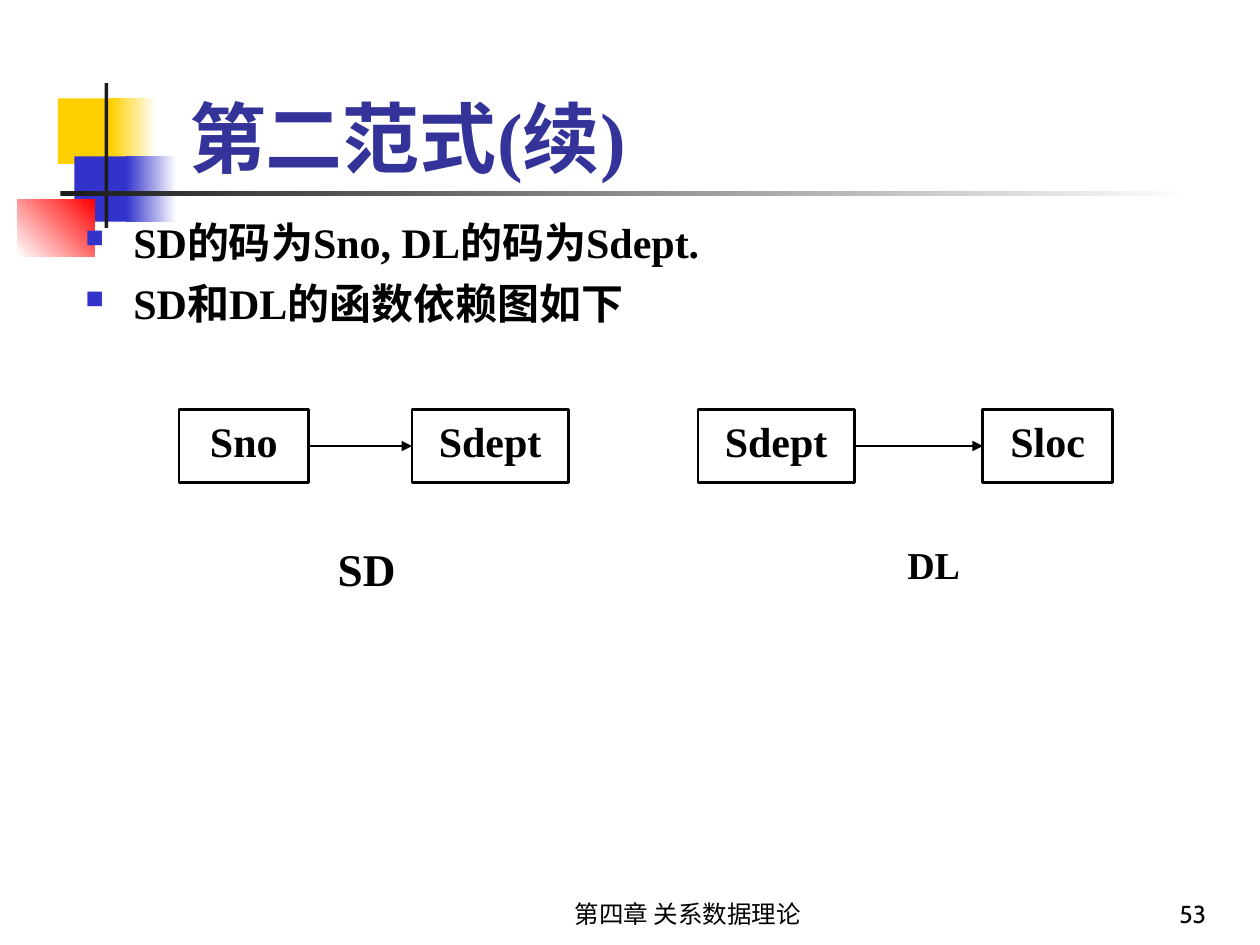
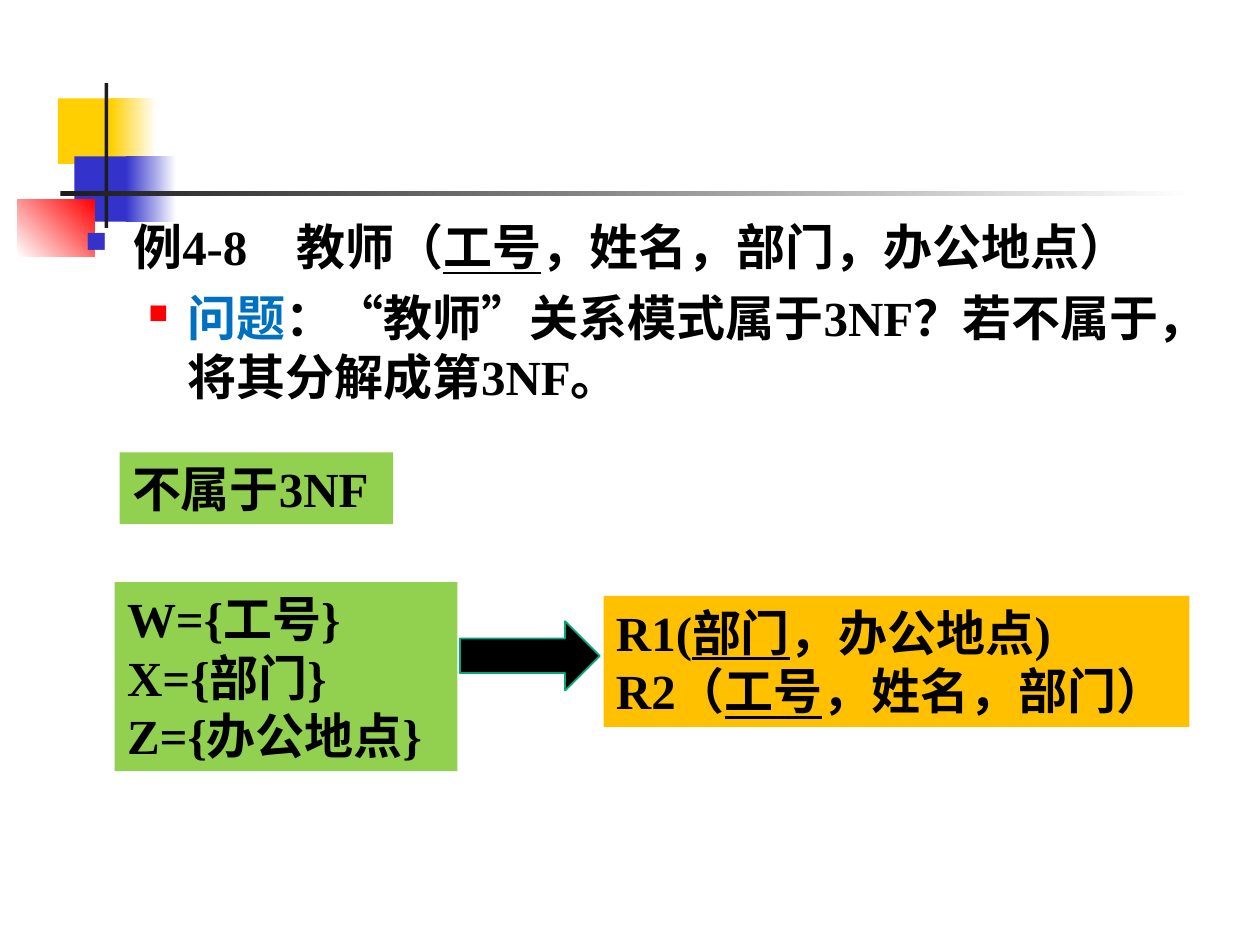
"""Build two slides on normal forms: dependency diagrams and a 3NF example."""
from typing import Any, NamedTuple

import lxml.etree
import pptx
import pptx.dml.color
import pptx.enum.shapes
import pptx.enum.text
import pptx.oxml.ns
import pptx.util

Inches = pptx.util.Inches
Pt = pptx.util.Pt
SHAPE = pptx.enum.shapes.MSO_SHAPE
ALIGN = pptx.enum.text.PP_ALIGN
LOW = pptx.enum.text.MSO_ANCHOR.BOTTOM
GROW = pptx.enum.text.MSO_AUTO_SIZE.SHAPE_TO_FIT_TEXT

HUES = {
    "black": "000000", "white": "FFFFFF", "ink": "1C1C1C", "gold": "FFCF01",
    "blue": "3333CC", "red": "FF0000", "title": "333399", "sky": "0070C0",
    "green": "92D050", "amber": "FFC000", "teal": "00A77A",
}
SERIF = {"name": "Times New Roman", "bold": True}
SANS = {"name": "Cabin", "bold": False, "size": Pt(14)}
HEAD = SERIF | {"size": Pt(44)}
MID = SERIF | {"size": Pt(24)}
BIG = SERIF | {"size": Pt(28)}
FIT = {"word_wrap": False, "auto_size": GROW, "margin_right": Inches(0.04)}


class Box(NamedTuple):
    left: float
    top: float
    width: float
    height: float


class Block(NamedTuple):
    box: Box
    hue: str
    fade: str = ""
    angle: int = 0


class Bit(NamedTuple):
    text: str
    hue: str = "black"
    under: bool = False


class Mark(NamedTuple):
    hue: str
    size: int
    left: float
    hang: float


class Para(NamedTuple):
    bits: list[Bit]
    mark: Mark | None = None
    before: int = 0


class Pair(NamedTuple):
    start: Box
    end: Box
    names: tuple[str, str]
    label: Box
    title: str
    size: float


class Card(NamedTuple):
    box: Box
    hue: str
    paras: list[Para]


BAND = [
    Block(Box(0.46, 0.78, 0.48, 0.52), "gold"),
    Block(Box(0.88, 0.78, 0.36, 0.52), "gold", "white"),
    Block(Box(0.59, 1.24, 0.46, 0.52), "blue"),
    Block(Box(1, 1.24, 0.4, 0.52), "blue", "white"),
    Block(Box(0.14, 1.58, 0.61, 0.46), "white", "red", 45),
    Block(Box(0.83, 0.66, 0.03, 1.15), "ink"),
    Block(Box(0.48, 1.52, 9, 0.04), "ink", "white"),
]
FIRST = Mark("blue", 60, 0.38, 0.38)
NEXT = Mark("red", 55, 0.81, 0.31)
ROW, TALL, SHORT, LONG = 3.25, 0.58, 1.03, 1.24
PAIRS = [
    Pair(Box(1.42, ROW, SHORT, TALL), Box(3.27, ROW, LONG, TALL),
         ("Sno", "Sdept"), Box(2.5, 4.25, 0.82, 0.56), "SD", 25.9),
    Pair(Box(5.54, ROW, LONG, TALL), Box(7.8, ROW, SHORT, TALL),
         ("Sdept", "Sloc"), Box(7, 4.25, 0.82, 0.48), "DL", 21.7),
]
CARDS = [
    Card(Box(0.95, 3.59, 2.17, 0.57), "green", [Para([Bit("不属于3NF")])]),
    Card(Box(0.91, 4.62, 2.72, 1.5), "green",
         [Para([Bit(text)]) for text in ("W={工号}", "X={部门}", "Z={办公地点}")]),
    Card(Box(4.79, 4.73, 4.65, 1.04), "amber", [
        Para([Bit("R1("), Bit("部门", under=True), Bit("，办公地点)")]),
        Para([Bit("R2（"), Bit("工号", under=True), Bit("，姓名，部门）")]),
    ]),
]


def tint(name: str) -> pptx.dml.color.RGBColor:
    return pptx.dml.color.RGBColor.from_string(HUES[name])


def place(box: Box) -> list[int]:
    return [Inches(size) for size in box]


def apply(thing: Any, form: dict[str, Any]) -> None:
    for key, value in form.items():
        setattr(thing, key, value)


def add(node: Any, tag: str, **attrs: str) -> Any:
    return lxml.etree.SubElement(node, pptx.oxml.ns.qn(tag), attrs)


def bullet(para: Any, mark: Mark) -> None:
    props = para._p.get_or_add_pPr()
    props.set("marL", str(Inches(mark.left)))
    props.set("indent", str(-Inches(mark.hang)))
    add(add(props, "a:buClr"), "a:srgbClr", val=HUES[mark.hue])
    add(props, "a:buSzPct", val=str(mark.size * 1000))
    add(props, "a:buChar", char="■")


def write(frame: Any, paras: list[Para], font: dict[str, Any],
          align: Any = ALIGN.LEFT, **form: Any) -> None:
    apply(frame, {"word_wrap": True} | form)
    for spot, item in enumerate(paras):
        para = frame.add_paragraph() if spot else frame.paragraphs[0]
        if item.mark:
            bullet(para, item.mark)
        apply(para, {"alignment": align, "space_before": Pt(item.before)})
        for bit in item.bits:
            run = para.add_run()
            run.text = bit.text
            apply(run.font, font)
            run.font.color.rgb = tint(bit.hue)
            if bit.under:
                run.font.underline = True


def note(slide: Any, box: Box, paras: list[Para], font: dict[str, Any],
         align: Any = ALIGN.LEFT, **form: Any) -> Any:
    shape = slide.shapes.add_textbox(*place(box))
    write(shape.text_frame, paras, font, align, **form)
    return shape


def draw(slide: Any, block: Block, kind: Any = SHAPE.RECTANGLE) -> Any:
    shape = slide.shapes.add_shape(kind, *place(block.box))
    shape.shadow.inherit = False
    shape.line.fill.background()
    if block.fade:
        shape.fill.gradient()
        shape.fill.gradient_angle = block.angle
        for stop, hue in zip(shape.fill.gradient_stops, (block.hue, block.fade)):
            stop.color.rgb = tint(hue)
    else:
        shape.fill.solid()
        shape.fill.fore_color.rgb = tint(block.hue)
    return shape


def edge(line: Any, hue: str, width: float) -> None:
    line.color.rgb = tint(hue)
    line.width = Pt(width)


def node(slide: Any, box: Box, name: str) -> Any:
    shape = draw(slide, Block(box, "white"))
    shape.fill.background()
    edge(shape.line, "black", 1.5)
    write(shape.text_frame, [Para([Bit(name)])], MID, ALIGN.CENTER,
          vertical_anchor=pptx.enum.text.MSO_ANCHOR.TOP)
    return shape


def join(slide: Any, start: Any, end: Any) -> None:
    kind = pptx.enum.shapes.MSO_CONNECTOR.STRAIGHT
    link = slide.shapes.add_connector(kind, 0, 0, 0, 0)
    link.begin_connect(start, 3)
    link.end_connect(end, 1)
    edge(link.line, "black", 1.5)
    add(link.line._get_or_add_ln(), "a:tailEnd", type="triangle")
    add(link._element.spPr, "a:effectLst")


def start(deck: Any) -> Any:
    slide = deck.slides.add_slide(deck.slide_layouts[6])
    for block in BAND:
        draw(slide, block)
    return slide


def second(deck: Any) -> None:
    slide = start(deck)
    note(slide, Box(1.26, 0.25, 8.41, 1.25), [Para([Bit("第二范式(续)", "title")])],
         HEAD, vertical_anchor=LOW, margin_left=Inches(0.24))
    note(slide, Box(0.58, 1.67, 9.08, 1.08), [
        Para([Bit("SD的码为Sno, DL的码为Sdept.")], FIRST),
        Para([Bit("SD和DL的函数依赖图如下")], FIRST, 6),
    ], MID)
    for pair in PAIRS:
        ends = [node(slide, box, name)
                for box, name in zip((pair.start, pair.end), pair.names)]
        join(slide, *ends)
        note(slide, pair.label, [Para([Bit(pair.title)])],
             SERIF | {"size": Pt(pair.size)}, ALIGN.CENTER)
    note(slide, Box(3.67, 6.92, 3.58, 0.5), [Para([Bit("第四章 关系数据理论")])],
         SANS, ALIGN.CENTER, vertical_anchor=LOW)
    note(slide, Box(7.5, 6.92, 2.17, 0.5), [Para([Bit("53")])],
         SANS, ALIGN.RIGHT, vertical_anchor=LOW)


def third(deck: Any) -> None:
    slide = start(deck)
    note(slide, Box(0.58, 1.67, 9.08, 5.08), [
        Para([Bit("例4-8　教师（"), Bit("工号", under=True),
              Bit("，姓名，部门，办公地点）")], FIRST),
        Para([Bit("问题", "sky"),
              Bit("：“教师”关系模式属于3NF？若不属于，将其分解成第3NF。")], NEXT, 7),
    ], BIG, margin_right=Inches(0.4))
    for card in CARDS:
        shape = note(slide, card.box, card.paras, BIG, **FIT)
        shape.fill.solid()
        shape.fill.fore_color.rgb = tint(card.hue)
    arrow = draw(slide, Block(Box(3.65, 4.93, 1.11, 0.55), "black"),
                 SHAPE.RIGHT_ARROW)
    edge(arrow.line, "teal", 1)


def main() -> None:
    deck = pptx.Presentation()
    apply(deck, {"slide_width": Inches(10), "slide_height": Inches(7.5)})
    second(deck)
    third(deck)
    deck.save("out.pptx")


if __name__ == "__main__":
    main()
